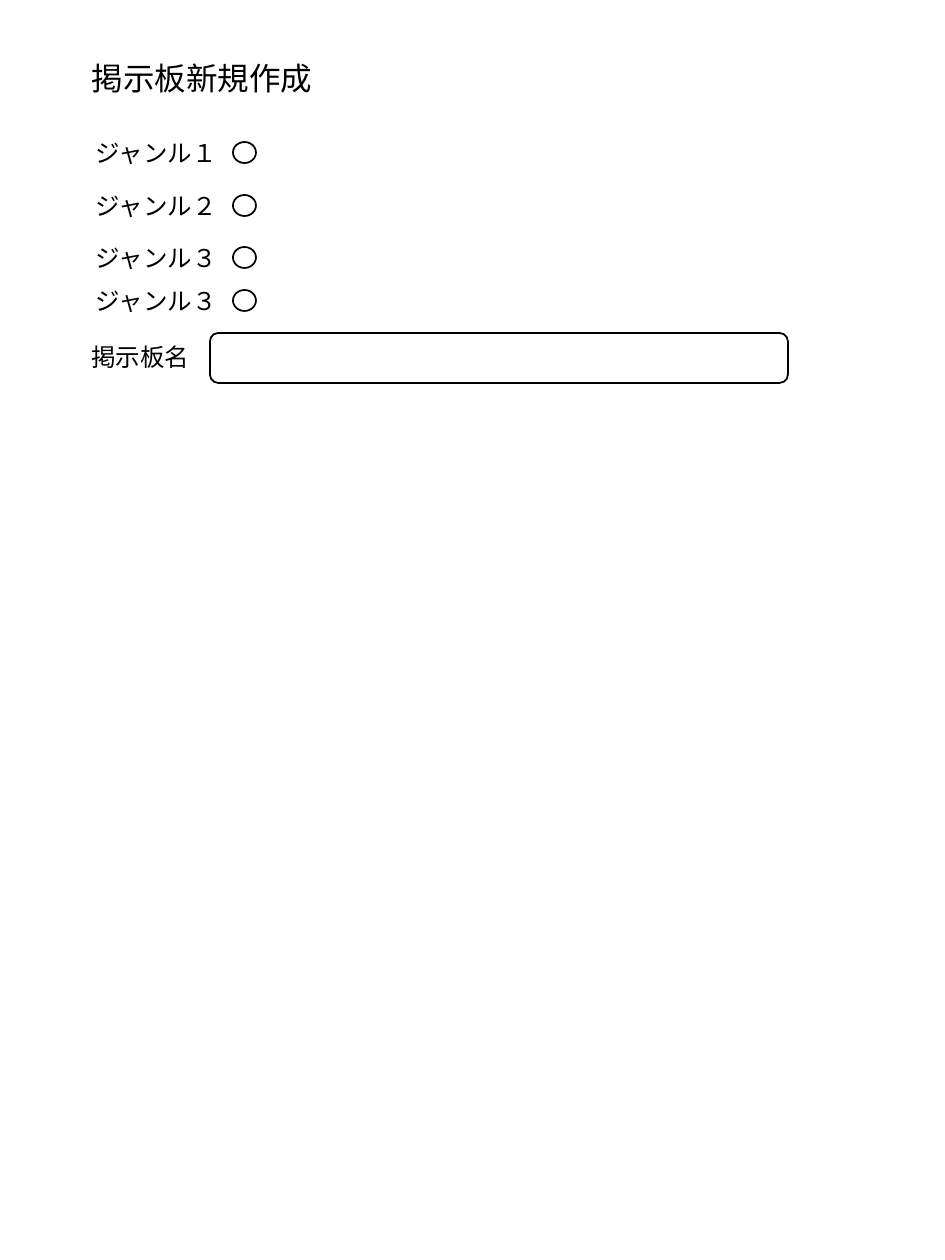
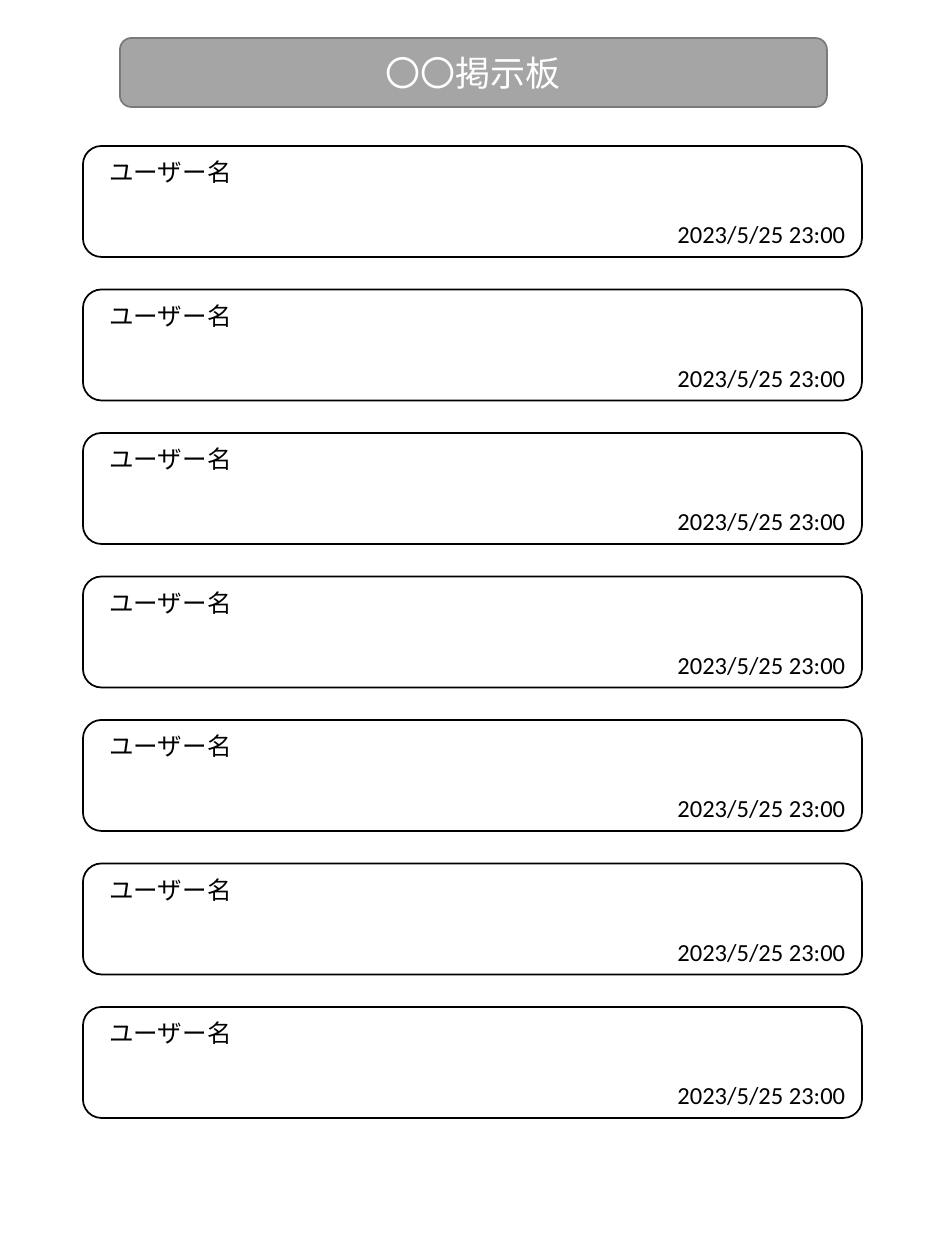
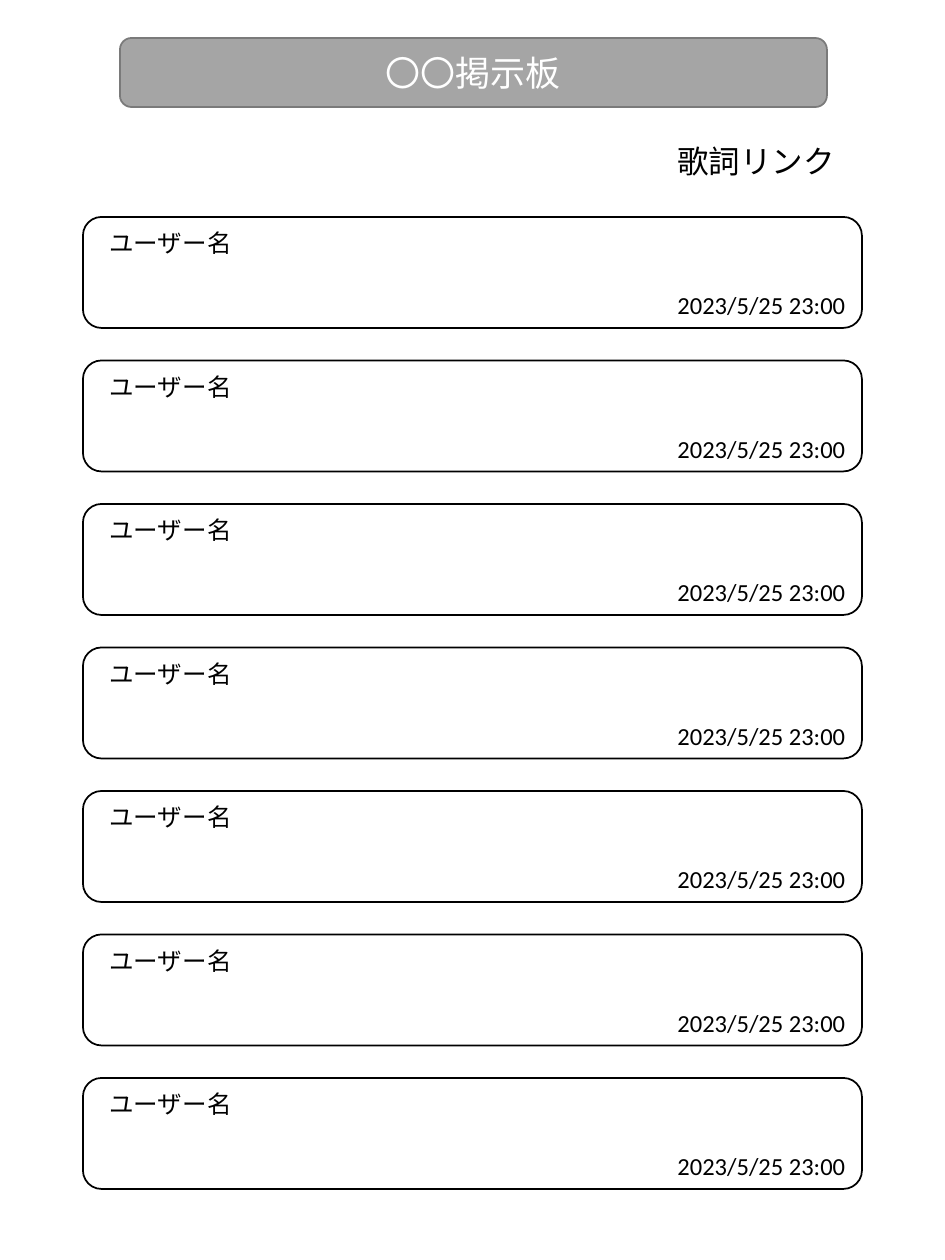
"""Build three bulletin-board screens: a creation form and two post lists."""
from pptx import Presentation, util as u
from pptx.dml.color import RGBColor
from pptx.enum import shapes, text

THEME = {
    "font": "Calibri", "ink": "000000", "paper": "FFFFFF",
    "band": "A5A5A5", "band_line": "7A7A7A",
    "heading": 18, "band_title": 20, "label": 14, "line": 1,
}
PAGE = (945, 1260)
FORM_TITLE = "掲示板新規作成"
GENRES = [("ジャンル１", 132), ("ジャンル２", 185), ("ジャンル３", 237), ("ジャンル３", 280)]
FIELD_LABEL = "掲示板名"
BOARDS = [
    {"title": "〇〇掲示板", "link": None, "top": 146},
    {"title": "〇〇掲示板", "link": "歌詞リンク", "top": 217},
]
POSTS = [("ユーザー名", "2023/5/25 23:00")] * 7
BAND = (120, 38, 707, 69)
CARD_LEFT, CARD_W, CARD_H, CARD_SPAN = 83, 779, 111, 861
LABEL_H, HEADING_H = 43, 50


def px(n):
    return u.Emu(round(n * 914400 / 126))


def color(name):
    return RGBColor.from_string(THEME[name])


def write(sp, words, size, ink="ink", align=text.PP_ALIGN.LEFT, anchor=text.MSO_ANCHOR.TOP):
    tf = sp.text_frame
    frame = {"word_wrap": True, "auto_size": text.MSO_AUTO_SIZE.NONE, "vertical_anchor": anchor}
    for key, value in frame.items():
        setattr(tf, key, value)
    p = tf.paragraphs[0]
    p.alignment = align
    r = p.add_run()
    r.text = words
    for key, value in {"name": THEME["font"], "size": u.Pt(THEME[size])}.items():
        setattr(r.font, key, value)
    r.font.color.rgb = color(ink)


def label(s, words, box, size="label"):
    write(s.shapes.add_textbox(*map(px, box)), words, size)


def outline(s, kind, box, fill="paper", line="ink"):
    sp = s.shapes.add_shape(kind, *map(px, box))
    sp.shadow.inherit = False
    sp.fill.solid()
    sp.fill.fore_color.rgb = color(fill)
    sp.line.color.rgb = color(line)
    sp.line.width = u.Pt(THEME["line"])


def title(s, words, box, size, **style):
    sp = s.shapes.title
    for key, value in zip(("left", "top", "width", "height"), box):
        setattr(sp, key, px(value))
    write(sp, words, size, **style)
    s.shapes._spTree.append(sp._element)


def form_slide(s):
    title(s, FORM_TITLE, (79, 53, 306, HEADING_H), "heading")
    for name, top in GENRES:
        label(s, name, (83, top, 149, LABEL_H))
        outline(s, shapes.MSO_SHAPE.OVAL, (233, top + 10, 23, 21))
    outline(s, shapes.MSO_SHAPE.ROUNDED_RECTANGLE, (210, 333, 578, 50))
    label(s, FIELD_LABEL, (79, 336, 152, LABEL_H))


def board_slide(s, board):
    rounded = shapes.MSO_SHAPE.ROUNDED_RECTANGLE
    outline(s, rounded, BAND, "band", "band_line")
    title(s, board["title"], BAND, "band_title", ink="paper",
          align=text.PP_ALIGN.CENTER, anchor=text.MSO_ANCHOR.MIDDLE)
    for i, (user, posted) in enumerate(POSTS):
        top = board["top"] + CARD_SPAN * i / (len(POSTS) - 1)
        outline(s, rounded, (CARD_LEFT, top, CARD_W, CARD_H))
        label(s, user, (CARD_LEFT + 14, top + 5, 159, LABEL_H))
        label(s, posted, (CARD_LEFT + 582, top + 67, 222, LABEL_H))
    if board["link"]:
        label(s, board["link"], (665, 136, 184, HEADING_H), "heading")


def main():
    prs = Presentation()
    prs.slide_width, prs.slide_height = map(px, PAGE)
    layout = prs.slide_layouts[5]
    form_slide(prs.slides.add_slide(layout))
    for board in BOARDS:
        board_slide(prs.slides.add_slide(layout), board)
    prs.save("out.pptx")


if __name__ == "__main__":
    main()
